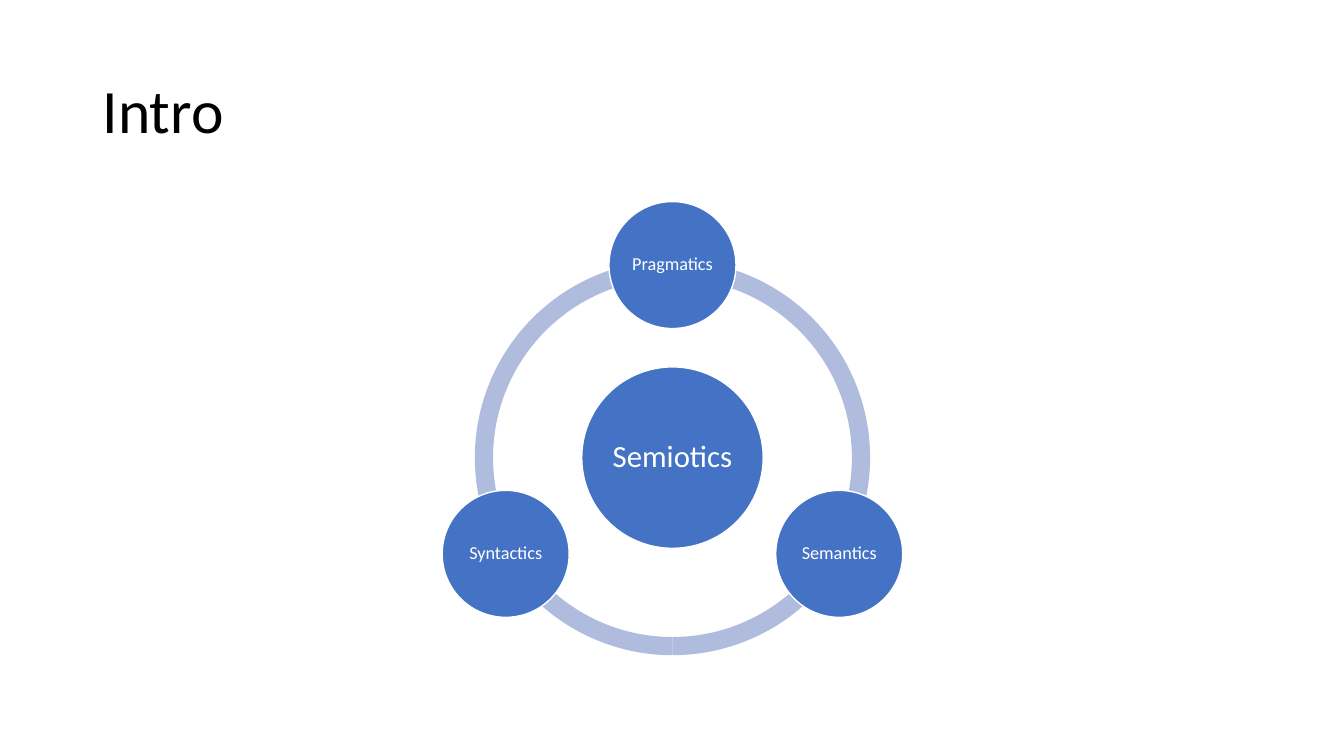
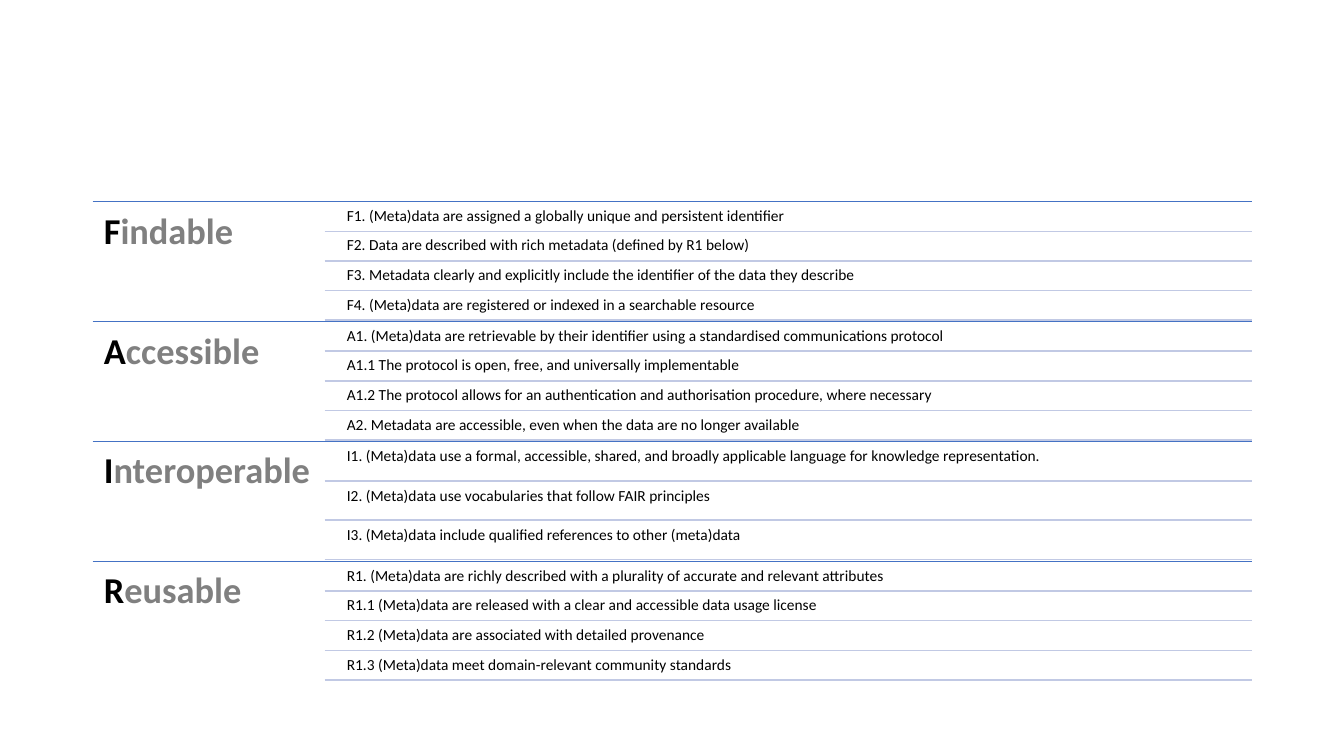
from math import cos, radians, sin

from lxml.etree import SubElement
from pptx import Presentation
from pptx.dml.color import RGBColor
from pptx.enum.shapes import MSO_CONNECTOR, MSO_SHAPE
from pptx.enum.text import MSO_ANCHOR, PP_ALIGN
from pptx.oxml.ns import qn
from pptx.util import Inches, Pt

BLUE, PALE, ARC = "4472C4", "C1C9E4", "B0BCDE"
BLACK, GRAY, WHITE = "000000", "808080", "FFFFFF"
FONT = "Calibri"
LEFT, RIGHT = 0.92, 12.42
hue = RGBColor.from_string


def write(shape, *runs, size, bold=False, inset=0.05,
          align=PP_ALIGN.LEFT, anchor=MSO_ANCHOR.TOP):
    """Fill the shape with one paragraph of (text, colour) runs."""
    frame = shape.text_frame
    frame.word_wrap = True
    frame.vertical_anchor = anchor
    frame.margin_left = frame.margin_right = Inches(inset)
    frame.margin_top = frame.margin_bottom = Inches(inset)
    para = frame.paragraphs[0]
    para.alignment = align
    para.line_spacing = 0.9
    for text, color in runs:
        run = para.add_run()
        run.text = text
        run.font.name = FONT
        run.font.size = Pt(size)
        run.font.bold = bold
        run.font.color.rgb = hue(color)


def rule(slide, left, y, color):
    """Draw a horizontal line from left to the right margin."""
    line = slide.shapes.add_connector(
        MSO_CONNECTOR.STRAIGHT, Inches(left), Inches(y), Inches(RIGHT), Inches(y))
    line.line.color.rgb = hue(color)
    line.line.width = Pt(1)
    SubElement(line._element.spPr, qn("a:effectLst"))


deck = Presentation()
deck.slide_width, deck.slide_height = Inches(13.33), Inches(7.5)
blank = deck.slide_layouts[6]

# Slide 1: a hub with three circles on a ring
slide = deck.slides.add_slide(blank)
title = slide.shapes.add_textbox(Inches(LEFT), Inches(0.4), Inches(11.5), Inches(1.45))
write(title, ("Intro", BLACK), size=44, inset=0.1, anchor=MSO_ANCHOR.MIDDLE)

MID_X, MID_Y, RING, ORBIT = 6.67, 4.54, 3.92, 1.91
for start, end in [(90, 162), (18, 90), (162, 18)]:
    arc = slide.shapes.add_shape(
        MSO_SHAPE.BLOCK_ARC, Inches(MID_X - RING / 2), Inches(MID_Y - RING / 2),
        Inches(RING), Inches(RING))
    # Angles are stored in 60000ths of a degree, adjustments in 100000ths
    arc.adjustments[0] = start * 0.6
    arc.adjustments[1] = end * 0.6
    arc.adjustments[2] = 0.046
    arc.shadow.inherit = False
    arc.fill.solid()
    arc.fill.fore_color.rgb = hue(ARC)
    arc.line.fill.background()

circles = [("Semiotics", 0, 0, 1.8, 22)]
for text, angle in [("Pragmatics", -90), ("Semantics", 30), ("Syntactics", 150)]:
    circles.append((text, ORBIT, angle, 1.26, 13))

for text, dist, angle, width, size in circles:
    x = MID_X + dist * cos(radians(angle)) - width / 2
    y = MID_Y + dist * sin(radians(angle)) - width / 2
    disc = slide.shapes.add_shape(
        MSO_SHAPE.OVAL, Inches(x), Inches(y), Inches(width), Inches(width))
    disc.shadow.inherit = False
    disc.fill.solid()
    disc.fill.fore_color.rgb = hue(BLUE)
    disc.line.color.rgb = hue(WHITE)
    disc.line.width = Pt(1)
    write(disc, (text, WHITE), size=size, inset=0.02,
          align=PP_ALIGN.CENTER, anchor=MSO_ANCHOR.MIDDLE)

# Slide 2: four principles, each with its list of rules
groups = [
    ("Findable", [
        "F1. (Meta)data are assigned a globally unique and persistent identifier",
        "F2. Data are described with rich metadata (defined by R1 below)",
        "F3. Metadata clearly and explicitly include the identifier of the data they describe",
        "F4. (Meta)data are registered or indexed in a searchable resource",
    ]),
    ("Accessible", [
        "A1. (Meta)data are retrievable by their identifier using a standardised "
        "communications protocol",
        "A1.1 The protocol is open, free, and universally implementable",
        "A1.2 The protocol allows for an authentication and authorisation procedure, "
        "where necessary",
        "A2. Metadata are accessible, even when the data are no longer available",
    ]),
    ("Interoperable", [
        "I1. (Meta)data use a formal, accessible, shared, and broadly applicable "
        "language for knowledge representation.",
        "I2. (Meta)data use vocabularies that follow FAIR principles",
        "I3. (Meta)data include qualified references to other (meta)data",
    ]),
    ("Reusable", [
        "R1. (Meta)data are richly described with a plurality of accurate and "
        "relevant attributes",
        "R1.1 (Meta)data are released with a clear and accessible data usage license",
        "R1.2 (Meta)data are associated with detailed provenance",
        "R1.3 (Meta)data meet domain-relevant community standards",
    ]),
]
TOP, BAND, LABEL, INDENT = 2, 1.19, 2.3, 0.17
SPLIT = LEFT + LABEL
TEXT = SPLIT + INDENT

slide = deck.slides.add_slide(blank)
for index, (name, items) in enumerate(groups):
    top = TOP + index * BAND
    rule(slide, LEFT, top, BLUE)
    label = slide.shapes.add_textbox(Inches(LEFT), Inches(top), Inches(LABEL), Inches(BAND))
    write(label, (name[0], BLACK), (name[1:], GRAY), size=26, bold=True, inset=0.11)

    # Rows fill the band, with a gap of 5% of a row around each
    count = len(items)
    high = BAND / (count + 0.05 * (count + 1))
    gap = 0.05 * high
    for row, item in enumerate(items):
        y = top + gap + row * (high + gap)
        box = slide.shapes.add_textbox(
            Inches(TEXT), Inches(y), Inches(RIGHT - TEXT), Inches(high))
        write(box, (item, BLACK), size=11)
        rule(slide, SPLIT, y + high, PALE)

deck.save("out.pptx")
